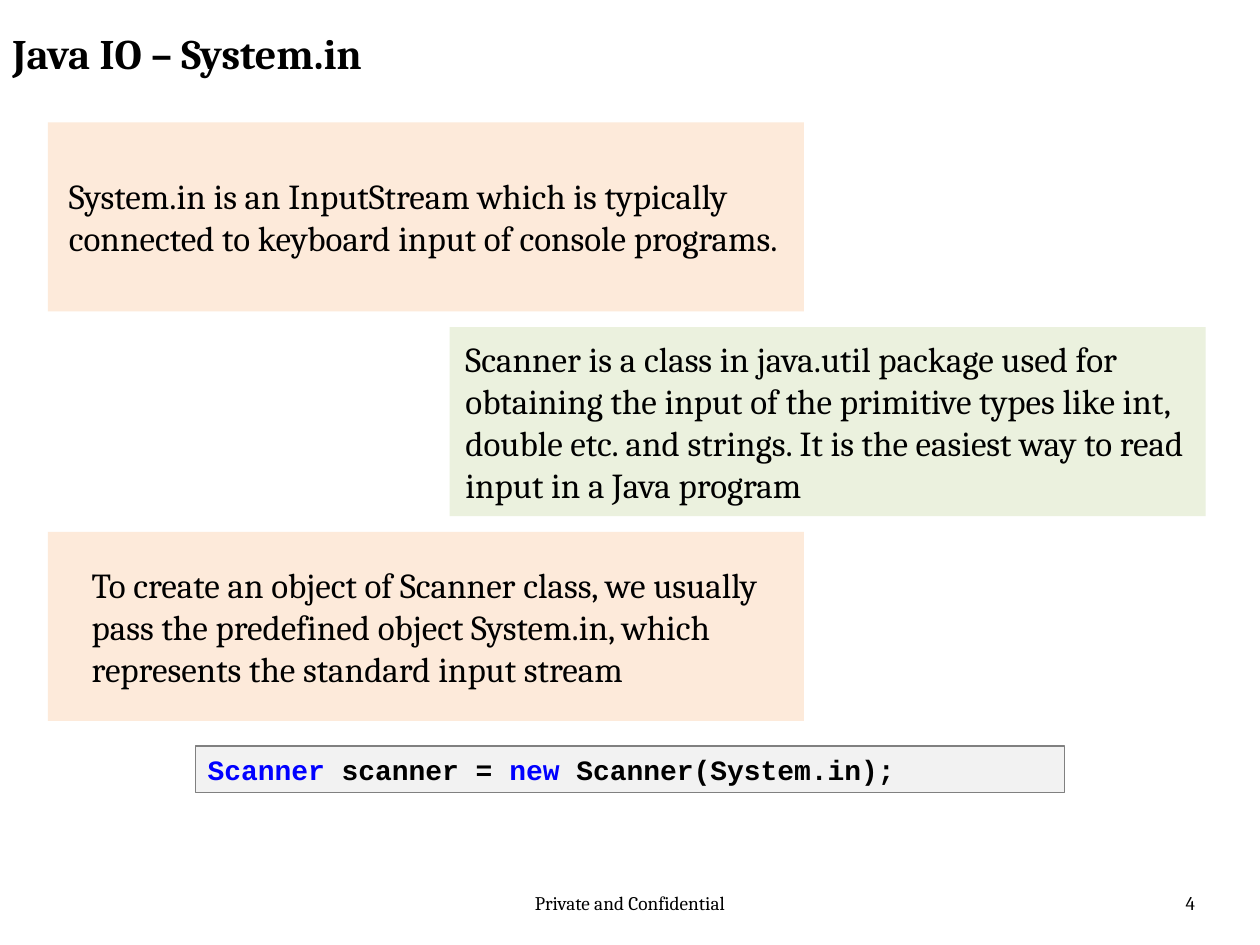
from pptx import Presentation
from pptx.dml.color import RGBColor
from pptx.enum.shapes import MSO_SHAPE as SHAPE
from pptx.enum.text import MSO_ANCHOR as ANCHOR, PP_ALIGN as ALIGN
from pptx.util import Pt

BLACK = RGBColor(0, 0, 0)
KEYWORD_BLUE = RGBColor(0, 0, 0xFF)
PEACH = RGBColor(0xFD, 0xEA, 0xDA)
SAGE = RGBColor(0xEB, 0xF1, 0xDE)
CODE_FILL = RGBColor(0xF2, 0xF2, 0xF2)
CODE_BORDER = RGBColor(0x80, 0x80, 0x80)

NOTE_WIDTH, NOTE_HEIGHT = 432, 108
NOTES_TOP, NOTE_PITCH = 70, 117
LEFT_X, RIGHT_X = 27.4, 257

# Text, left edge, fill and left inset of each note, from top to bottom
NOTES = [
    ("System.in is an InputStream which is typically connected to keyboard "
     "input of console programs.", LEFT_X, PEACH, 12),
    ("Scanner is a class in java.util package used for obtaining the input of "
     "the primitive types like int, double etc. and strings. It is the easiest "
     "way to read input in a Java program", RIGHT_X, SAGE, 9),
    ("To create an object of Scanner class, we usually pass the predefined "
     "object System.in, which represents the standard input stream",
     LEFT_X, PEACH, 25),
]
CODE = [("Scanner ", KEYWORD_BLUE), ("scanner = ", BLACK),
        ("new", KEYWORD_BLUE), (" Scanner(System.in);", BLACK)]


def write(shape, runs, size, font="Cambria", bold=False, align=ALIGN.LEFT,
          **frame_format):
    """Fill a shape with one paragraph of (text, colour) runs."""
    frame = shape.text_frame
    settings = {"word_wrap": True, "vertical_anchor": ANCHOR.TOP, **frame_format}
    for name, value in settings.items():
        setattr(frame, name, value)
    paragraph = frame.paragraphs[0]
    paragraph.alignment = align
    for text, colour in runs:
        run = paragraph.add_run()
        run.text = text
        for name, value in {"name": font, "size": Pt(size), "bold": bold}.items():
            setattr(run.font, name, value)
        run.font.color.rgb = colour


def add_label(slide, box, text, size, **text_format):
    label = slide.shapes.add_textbox(*map(Pt, box))
    write(label, [(text, BLACK)], size, **text_format)


def add_panel(slide, box, fill, border=None):
    panel = slide.shapes.add_shape(SHAPE.RECTANGLE, *map(Pt, box))
    panel.shadow.inherit = False
    panel.fill.solid()
    panel.fill.fore_color.rgb = fill
    if border is None:
        panel.line.fill.background()
    else:
        panel.line.color.rgb = border
        panel.line.width = Pt(0.75)
    return panel


def add_note(slide, box, text, fill, inset):
    panel = add_panel(slide, box, fill)
    write(panel, [(text, BLACK)], 20, vertical_anchor=ANCHOR.MIDDLE,
          margin_left=Pt(inset))


def add_code(slide, box):
    panel = add_panel(slide, box, CODE_FILL, CODE_BORDER)
    write(panel, CODE, 16, font="Courier New", bold=True)


def add_footer(slide, top, height):
    add_label(slide, (246, top, 228, height), "Private and Confidential", 11,
              align=ALIGN.CENTER)
    add_label(slide, (522, top, 168, height), "4", 11, align=ALIGN.RIGHT)


def main():
    deck = Presentation()
    deck.slide_width, deck.slide_height = Pt(720), Pt(540)
    slide = deck.slides.add_slide(deck.slide_layouts[6])
    add_footer(slide, 505.5, 28.8)
    add_label(slide, (0, 12, 546, 45), "Java IO – System.in", 24, bold=True)
    for row, (text, left, fill, inset) in enumerate(NOTES):
        box = (left, NOTES_TOP + row * NOTE_PITCH, NOTE_WIDTH, NOTE_HEIGHT)
        add_note(slide, box, text, fill, inset)
    add_code(slide, (111.6, 426.4, 496.8, 26.6))
    deck.save("out.pptx")


if __name__ == "__main__":
    main()
